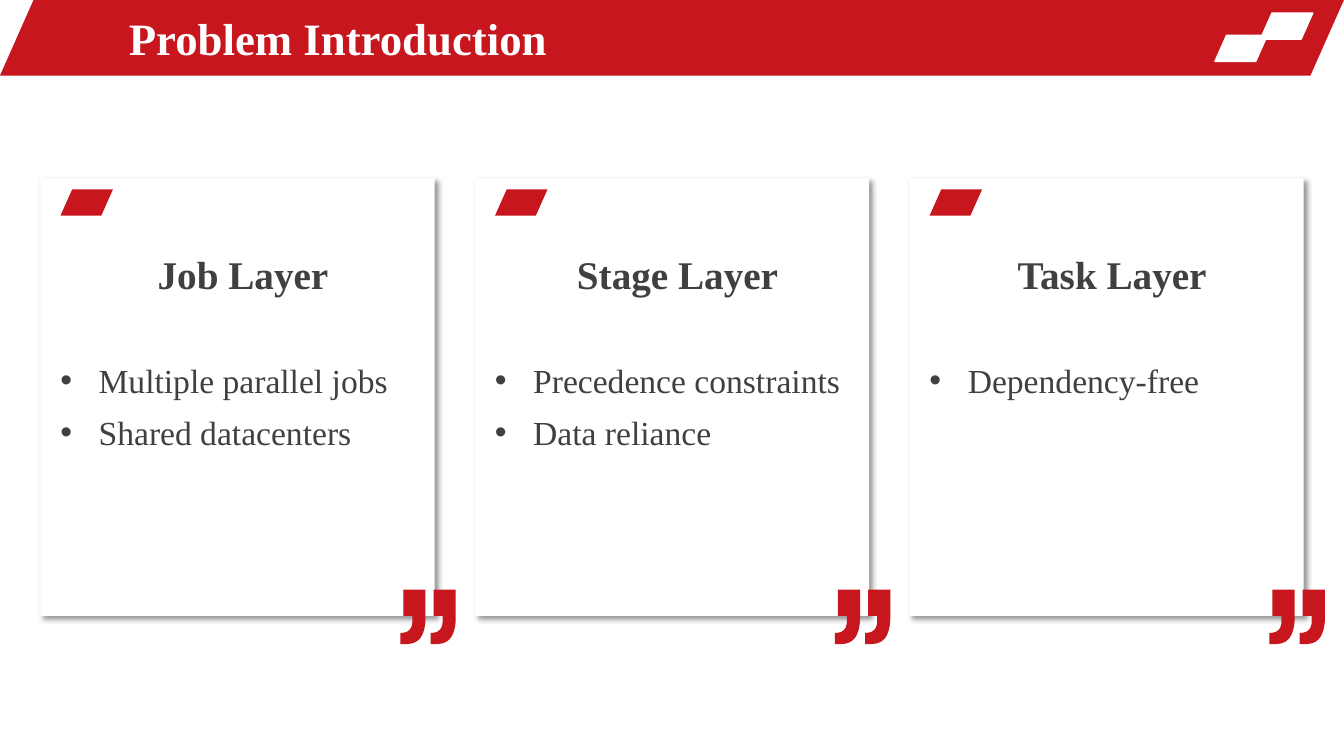
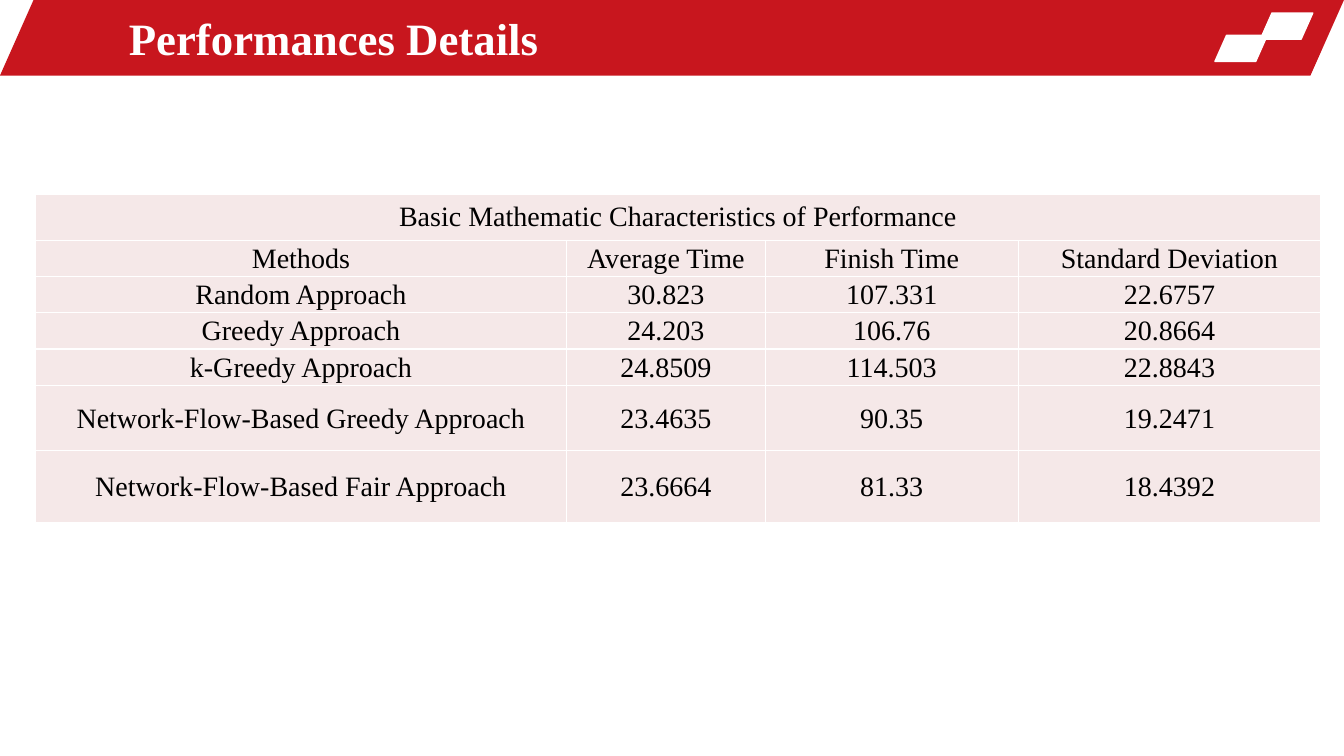
from lxml import etree
from pptx import Presentation
from pptx.dml.color import RGBColor
from pptx.enum.shapes import MSO_SHAPE
from pptx.enum.text import MSO_ANCHOR, PP_ALIGN
from pptx.oxml.ns import qn
from pptx.util import Inches, Pt

PARALLELOGRAM, RECTANGLE = MSO_SHAPE.PARALLELOGRAM, MSO_SHAPE.RECTANGLE
CENTER, MIDDLE = PP_ALIGN.CENTER, MSO_ANCHOR.MIDDLE

# Shared style
WIDTH, HEIGHT = 13.33, 7.5
FONT = "Times New Roman"
RED, WHITE, DARK, BLACK, PINK = "C8161E", "FFFFFF", "404040", "000000", "F5E8E8"
BAND_HEIGHT = HEIGHT / 10
SLANT = 0.444
CHIP_SIZE = (0.52, 0.26)
BAND_CHIPS = [(12.5, 0.13), (12.05, 0.35)]

# Content
CARDS_TITLE = "Problem Introduction"
CARDS = [
    ("Job Layer", ["Multiple parallel jobs", "Shared datacenters"]),
    ("Stage Layer", ["Precedence constraints", "Data reliance"]),
    ("Task Layer", ["Dependency-free"]),
]
TABLE_TITLE = "Performances Details"
TABLE_CAPTION = "Basic Mathematic Characteristics of Performance"
TABLE_ROWS = [
    ("Methods", "Average Time", "Finish Time", "Standard Deviation"),
    ("Random Approach", "30.823", "107.331", "22.6757"),
    ("Greedy Approach", "24.203", "106.76", "20.8664"),
    ("k-Greedy Approach", "24.8509", "114.503", "22.8843"),
    ("Network-Flow-Based Greedy Approach", "23.4635", "90.35", "19.2471"),
    ("Network-Flow-Based Fair Approach", "23.6664", "81.33", "18.4392"),
]
COLUMN_WIDTHS = [5.27, 1.97, 2.51, 3]
ROW_HEIGHTS = [0.45] + [0.36] * 4 + [0.65, 0.71]

# Card grid
GAP, CARD_TOP, CARD_HEIGHT = 0.4, 1.77, 4.34
CARD_WIDTH = (WIDTH - GAP * (len(CARDS) + 1)) / len(CARDS)

# One closing quote mark, in thousandths of an inch: points, or curves of four points
QUOTE_STEP = 300
QUOTE_CURVES = [
    [(120, 310), (120, 390), (80, 430), (0, 430)],
    [(60, 540), (180, 540), (250, 460), (250, 280)],
]


def color(value):
    return RGBColor.from_string(value)


def style_text(paragraph, size, text_color, bold=False):
    for run in paragraph.runs:
        run.font.name = FONT
        run.font.size = Pt(size)
        run.font.bold = bold
        run.font.color.rgb = color(text_color)


def paint(shape, fill, line=None):
    shape.shadow.inherit = False
    shape.fill.solid()
    shape.fill.fore_color.rgb = color(fill)
    if line:
        shape.line.color.rgb = color(line)
        shape.line.width = Pt(1)
    else:
        shape.line.fill.background()


def add_block(slide, kind, left, top, width, height, fill, line=None):
    shape = slide.shapes.add_shape(
        kind, Inches(left), Inches(top), Inches(width), Inches(height))
    if kind == PARALLELOGRAM:
        shape.adjustments[0] = SLANT
    paint(shape, fill, line)
    return shape


def add_text_box(slide, left, top, width, height):
    box = slide.shapes.add_textbox(
        Inches(left), Inches(top), Inches(width), Inches(height))
    box.text_frame.word_wrap = True
    return box.text_frame


def add_titled_slide(presentation, title):
    slide = presentation.slides.add_slide(presentation.slide_layouts[6])
    add_block(slide, PARALLELOGRAM, 0, 0, WIDTH, BAND_HEIGHT, RED)
    for left, top in BAND_CHIPS:
        add_block(slide, PARALLELOGRAM, left, top, *CHIP_SIZE, WHITE, WHITE)
    text_frame = add_text_box(slide, 1.18, 0.05, 7.74, 0.65)
    text_frame.vertical_anchor = MIDDLE
    text_frame.text = title
    style_text(text_frame.paragraphs[0], 32, WHITE, True)
    return slide


def add_shadow(shape):
    effects = shape._element.spPr.find(qn("a:effectLst"))
    shadow = etree.SubElement(
        effects, qn("a:outerShdw"), blurRad=str(Pt(4)), dist=str(Pt(3)),
        dir=str(45 * 60000), algn="tl", rotWithShape="0")
    shade = etree.SubElement(shadow, qn("a:srgbClr"), val=BLACK)
    etree.SubElement(shade, qn("a:alpha"), val="40000")


def add_bullet(paragraph):
    properties = paragraph._p.get_or_add_pPr()
    properties.set("marL", str(Inches(0.38)))
    properties.set("indent", str(-Inches(0.38)))
    etree.SubElement(properties, qn("a:buFont"), typeface="Arial")
    etree.SubElement(properties, qn("a:buChar"), char="•")


def curve_points(p0, p1, p2, p3, steps=12):
    for t in (step / steps for step in range(steps + 1)):
        weights = ((1 - t) ** 3, 3 * t * (1 - t) ** 2, 3 * t * t * (1 - t), t ** 3)
        yield tuple(sum(w * p[axis] for w, p in zip(weights, (p0, p1, p2, p3)))
                    for axis in (0, 1))


def add_quote_marks(slide, left, top):
    inner, outer = (list(curve_points(*curve)) for curve in QUOTE_CURVES)
    outline = [(30, 0), (30, 260), (120, 260), *inner, (0, 540), *outer, (250, 0)]
    builder = slide.shapes.build_freeform(*outline[0], scale=Inches(1) / 1000)
    for shift in (0, QUOTE_STEP):
        points = [(x + shift, y) for x, y in outline]
        if shift:
            builder.move_to(*points[0])
        builder.add_line_segments(points[1:], close=True)
    paint(builder.convert_to_shape(Inches(left), Inches(top)), RED)


def add_card(slide, left, heading, bullets):
    card = add_block(slide, RECTANGLE, left, CARD_TOP, CARD_WIDTH, CARD_HEIGHT, WHITE)
    add_shadow(card)
    add_block(slide, PARALLELOGRAM, left + 0.2, CARD_TOP + 0.11, *CHIP_SIZE, RED)
    text_frame = add_text_box(slide, left + 0.1, 2.29, 3.82, 2.76)
    text_frame.text = "\n".join([heading, *bullets])
    for index, paragraph in enumerate(text_frame.paragraphs):
        paragraph.line_spacing = 1.3
        if index == 0:
            paragraph.alignment = CENTER
            style_text(paragraph, 28, DARK, True)
            continue
        if index == 1:
            paragraph.space_before = Pt(36)
        add_bullet(paragraph)
        style_text(paragraph, 24, DARK)
    add_quote_marks(slide, left + CARD_WIDTH - 0.34, CARD_TOP + CARD_HEIGHT - 0.26)


def style_cell(cell, margins):
    cell.margin_left, cell.margin_top, cell.margin_right, cell.margin_bottom = (
        Inches(margin) for margin in margins)
    cell.vertical_anchor = MIDDLE
    properties = cell._tc.get_or_add_tcPr()
    for side in ("lnL", "lnR", "lnT", "lnB"):
        border = etree.SubElement(properties, qn("a:" + side), w=str(Pt(1)))
        fill = etree.SubElement(border, qn("a:solidFill"))
        etree.SubElement(fill, qn("a:srgbClr"), val=WHITE)
    cell.fill.solid()
    cell.fill.fore_color.rgb = color(PINK)
    paragraph = cell.text_frame.paragraphs[0]
    paragraph.alignment = CENTER
    style_text(paragraph, 20, BLACK)


def add_results_table(slide):
    table = slide.shapes.add_table(
        len(ROW_HEIGHTS), len(COLUMN_WIDTHS), Inches(0.35), Inches(1.93),
        Inches(sum(COLUMN_WIDTHS)), Inches(sum(ROW_HEIGHTS))).table
    table.first_row = table.horz_banding = False
    for column, width in zip(table.columns, COLUMN_WIDTHS):
        column.width = Inches(width)
    for row, height in zip(table.rows, ROW_HEIGHTS):
        row.height = Inches(height)
    table.cell(0, 0).merge(table.cell(0, len(COLUMN_WIDTHS) - 1))
    table.cell(0, 0).text = TABLE_CAPTION
    for row_index, values in enumerate(TABLE_ROWS, start=1):
        for column_index, value in enumerate(values):
            table.cell(row_index, column_index).text = value
    for row_index, row in enumerate(table.rows):
        margins = (0.01, 0.01, 0.01, 0) if row_index else (0.12, 0.06, 0.12, 0.06)
        for cell in row.cells:
            style_cell(cell, margins)


def main():
    presentation = Presentation()
    presentation.slide_width = Inches(WIDTH)
    presentation.slide_height = Inches(HEIGHT)

    # Three layers of the problem
    slide = add_titled_slide(presentation, CARDS_TITLE)
    for index, (heading, bullets) in enumerate(CARDS):
        add_card(slide, GAP + index * (CARD_WIDTH + GAP), heading, bullets)

    # Table of results
    add_results_table(add_titled_slide(presentation, TABLE_TITLE))
    presentation.save("out.pptx")


if __name__ == "__main__":
    main()
